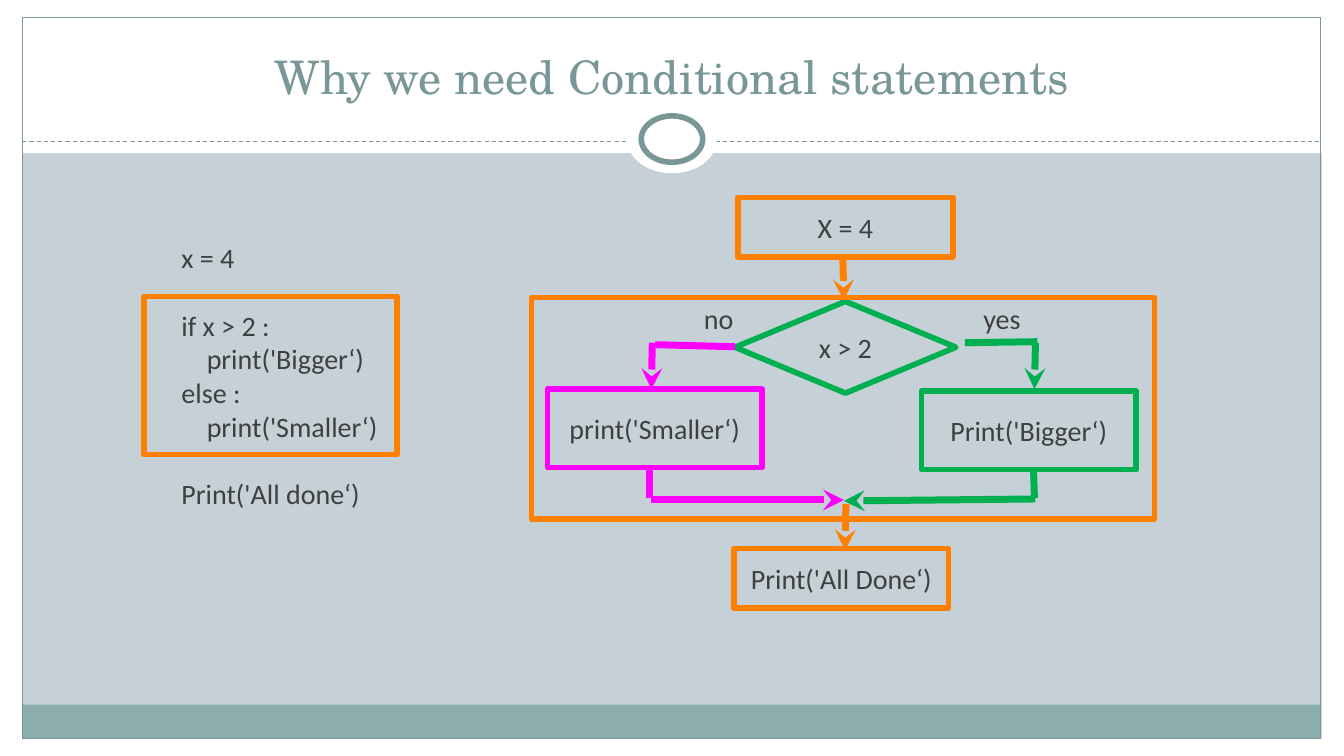
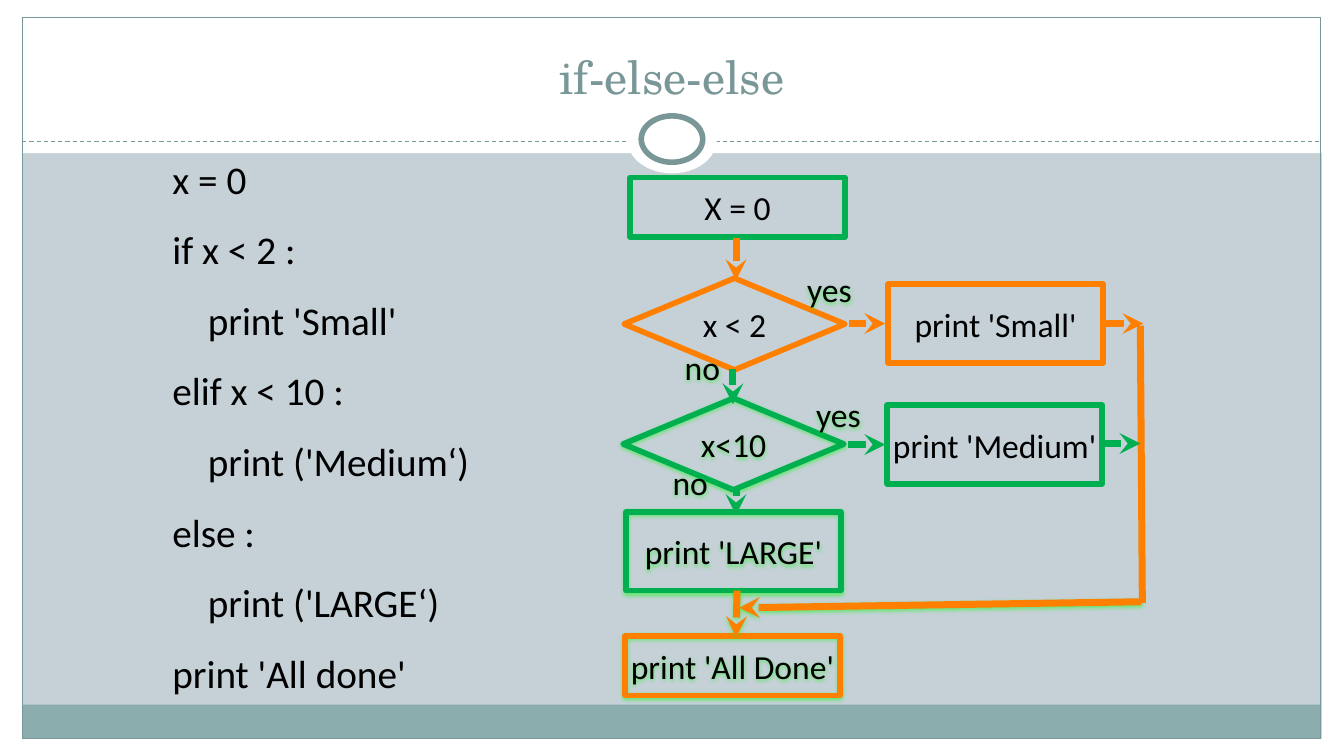
from dataclasses import dataclass
from typing import Optional

from lxml import etree
from pptx import Presentation
from pptx.dml.color import RGBColor
from pptx.enum.dml import MSO_LINE
from pptx.enum.shapes import MSO_CONNECTOR, MSO_SHAPE
from pptx.enum.text import MSO_ANCHOR, PP_ALIGN
from pptx.oxml.ns import qn
from pptx.util import Inches, Pt

RECT = MSO_SHAPE.RECTANGLE
OVAL = MSO_SHAPE.OVAL
DIAMOND = MSO_SHAPE.DIAMOND
STRAIGHT = MSO_CONNECTOR.STRAIGHT
DASH = MSO_LINE.DASH
LEFT, CENTER = PP_ALIGN.LEFT, PP_ALIGN.CENTER
MIDDLE, BOTTOM = MSO_ANCHOR.MIDDLE, MSO_ANCHOR.BOTTOM

WHITE = RGBColor(0xFF, 0xFF, 0xFF)
BLACK = RGBColor(0x00, 0x00, 0x00)
GRAY = RGBColor(0x3F, 0x3F, 0x3F)
BACKGROUND = RGBColor(0xC5, 0xD1, 0xD7)
BAND = RGBColor(0x8C, 0xAD, 0xAE)
TEAL = RGBColor(0x7A, 0x97, 0x98)
GREEN = RGBColor(0x00, 0xB0, 0x50)
ORANGE = RGBColor(0xFF, 0x7F, 0x00)
MAGENTA = RGBColor(0xFF, 0x00, 0xFF)
GLOW = RGBColor(0x00, 0xFF, 0x00)

BODY_FONT = "Calibri"
TITLE_FONT = "TeX Gyre Schola"
SPACE_EM = 0.226
LINE_EM = 1.22


@dataclass(frozen=True)
class Kind:
    shape: int
    w: float
    h: float


TERMINAL = Kind(RECT, 2.13, 0.59)
ACTION = Kind(RECT, 2.13, 0.78)
DECISION = Kind(DIAMOND, 2.19, 0.91)


@dataclass(frozen=True)
class Node:
    kind: Kind
    text: str
    x: float
    y: float
    color: RGBColor
    glow: bool = False


@dataclass(frozen=True)
class Link:
    x1: float
    y1: float
    x2: float
    y2: float
    color: RGBColor
    arrow: bool = True
    glow: bool = False


@dataclass(frozen=True)
class Label:
    text: str
    x: float
    y: float


@dataclass(frozen=True)
class Frame:
    x: float
    y: float
    w: float
    h: float


@dataclass(frozen=True)
class CodeLine:
    text: str
    indent: bool = False
    gap: bool = False


def set_shadow(shape, glow: bool = False) -> None:
    effects = etree.SubElement(shape._element.spPr, qn("a:effectLst"))
    if glow:
        shadow = etree.SubElement(effects, qn("a:outerShdw"), blurRad=str(Pt(3)),
                                  dist=str(Pt(1)), dir="5400000", rotWithShape="0")
        color = etree.SubElement(shadow, qn("a:srgbClr"), val=str(GLOW))
        etree.SubElement(color, qn("a:alpha"), val="50000")


def write(p, text: str, *, size: float, color: RGBColor, font: str = BODY_FONT,
          align=CENTER, spacing: Optional[float] = None) -> None:
    p.alignment = align
    if spacing:
        p.line_spacing = spacing
    r = p.add_run()
    r.text = text
    r.font.name = font
    r.font.size = Pt(size)
    r.font.color.rgb = color


def set_frame(tf, *, anchor=MIDDLE, wrap: bool = False):
    tf.margin_left = tf.margin_right = tf.margin_top = tf.margin_bottom = 0
    tf.vertical_anchor = anchor
    tf.word_wrap = wrap
    return tf


def add_box(s, shape: int, x: float, y: float, w: float, h: float, *,
            fill: Optional[RGBColor] = None, line: Optional[RGBColor] = None,
            width: float = 4, glow: bool = False):
    sp = s.shapes.add_shape(shape, Inches(x), Inches(y), Inches(w), Inches(h))
    if fill is None:
        sp.fill.background()
    else:
        sp.fill.solid()
        sp.fill.fore_color.rgb = fill
    if line is None:
        sp.line.fill.background()
    else:
        sp.line.color.rgb = line
        sp.line.width = Pt(width)
    set_shadow(sp, glow)
    return sp


def add_line(s, x1: float, y1: float, x2: float, y2: float, color: RGBColor,
             width: float, *, glow: bool = False):
    c = s.shapes.add_connector(STRAIGHT, Inches(x1), Inches(y1), Inches(x2), Inches(y2))
    c.line.color.rgb = color
    c.line.width = Pt(width)
    set_shadow(c, glow)
    return c


def add_text(s, x: float, y: float, w: float, h: float):
    return s.shapes.add_textbox(Inches(x), Inches(y), Inches(w), Inches(h))


def add_node(s, node: Node, size: float, color: RGBColor) -> None:
    sp = add_box(s, node.kind.shape, node.x, node.y, node.kind.w, node.kind.h,
                 line=node.color, glow=node.glow)
    write(set_frame(sp.text_frame).paragraphs[0], node.text, size=size, color=color)


def add_link(s, link: Link) -> None:
    c = add_line(s, link.x1, link.y1, link.x2, link.y2, link.color, 5, glow=link.glow)
    if link.arrow:
        etree.SubElement(c.line._get_or_add_ln(), qn("a:tailEnd"), type="stealth")


def add_label(s, label: Label, size: float, color: RGBColor, glow: bool) -> None:
    sp = add_text(s, label.x, label.y, size / 53, size / 60)
    if glow:
        set_shadow(sp, glow)
    write(set_frame(sp.text_frame).paragraphs[0], label.text, size=size, color=color)


def add_code(s, lines: list[CodeLine], area: Frame, *, size: float, color: RGBColor,
             spacing: Optional[float] = None) -> None:
    sp = add_text(s, area.x, area.y, area.w, area.h)
    tf = set_frame(sp.text_frame, wrap=True)
    for i, line in enumerate(lines):
        p = tf.paragraphs[0] if i == 0 else tf.add_paragraph()
        write(p, line.text, size=size, color=color, align=LEFT, spacing=spacing)
        if line.indent:
            p._p.get_or_add_pPr().set("marL", str(Pt(4 * SPACE_EM * size)))
        if line.gap:
            p.space_before = Pt(LINE_EM * size)


def add_slide(prs, title: str):
    s = prs.slides.add_slide(prs.slide_layouts[6])
    s.background.fill.solid()
    s.background.fill.fore_color.rgb = BACKGROUND
    for edge in ((0, 7.33, 13.33, 0.17), (0, 0, 13.33, 1.52),
                 (0, 0, 0.22, 7.5), (13.11, 0, 0.22, 7.5)):
        add_box(s, RECT, *edge, fill=WHITE)
    add_box(s, RECT, 0.22, 6.99, 12.88, 0.34, fill=BAND)
    add_box(s, RECT, 0.22, 0.17, 12.88, 7.16, line=TEAL, width=0.75)
    add_line(s, 0.22, 1.4, 13.1, 1.4, TEAL, 0.75).line.dash_style = DASH
    add_box(s, OVAL, 6.22, 1.05, 0.89, 0.67, fill=WHITE)
    add_box(s, OVAL, 6.36, 1.15, 0.61, 0.46, fill=WHITE, line=TEAL)
    sp = add_text(s, 2, 0.25, 9.33, 0.78)
    tf = set_frame(sp.text_frame, anchor=BOTTOM, wrap=True)
    write(tf.paragraphs[0], title, size=33, color=TEAL, font=TITLE_FONT)
    return s


def add_flow(s, nodes: list[Node], links: list[Link], labels: list[Label], *,
             size: float, color: RGBColor, glow: bool = False) -> None:
    for node in nodes:
        add_node(s, node, size, color)
    for link in links:
        add_link(s, link)
    for label in labels:
        add_label(s, label, size, color, glow)


def build_conditional(prs) -> None:
    s = add_slide(prs, "Why we need Conditional statements")
    code = [
        CodeLine("x = 4"),
        CodeLine("if x > 2 :", gap=True),
        CodeLine("print('Bigger‘)", indent=True),
        CodeLine("else :"),
        CodeLine("print('Smaller‘)", indent=True),
        CodeLine("Print('All done‘)", gap=True),
    ]
    add_code(s, code, Frame(1.8, 2.38, 2.1, 2.69), size=20, color=GRAY)
    nodes = [
        Node(TERMINAL, "X = 4", 7.32, 1.96, ORANGE),
        Node(DECISION, "x > 2", 7.29, 2.99, GREEN),
        Node(ACTION, "Print('Bigger‘)", 9.14, 3.88, GREEN),
        Node(ACTION, "print('Smaller‘)", 5.43, 3.86, MAGENTA),
        Node(TERMINAL, "Print('All Done‘)", 7.28, 5.44, ORANGE),
    ]
    links = [
        Link(9.57, 3.4, 10.29, 3.39, GREEN, arrow=False),
        Link(10.27, 3.4, 10.26, 3.86, GREEN),
        Link(10.27, 4.95, 8.37, 4.97, GREEN),
        Link(10.25, 4.65, 10.26, 4.94, GREEN, arrow=False),
        Link(8.36, 2.56, 8.37, 2.98, ORANGE),
        Link(7.29, 3.44, 6.5, 3.42, MAGENTA, arrow=False),
        Link(6.47, 3.4, 6.46, 3.86, MAGENTA),
        Link(6.46, 4.96, 8.37, 4.96, MAGENTA),
        Link(6.44, 4.66, 6.44, 4.94, MAGENTA, arrow=False),
        Link(8.39, 5, 8.38, 5.46, ORANGE),
    ]
    labels = [Label("yes", 9.75, 2.99), Label("no", 6.94, 2.99)]
    add_flow(s, nodes, links, labels, size=20, color=GRAY)
    for f in (Frame(5.27, 2.95, 6.18, 2.2), Frame(1.43, 2.94, 2.51, 1.57)):
        add_box(s, RECT, f.x, f.y, f.w, f.h, line=ORANGE)


def build_elif(prs) -> None:
    s = add_slide(prs, "if-else-else")
    code = [
        CodeLine("x = 0"),
        CodeLine("if x < 2 :"),
        CodeLine("print 'Small'", indent=True),
        CodeLine("elif x < 10 :"),
        CodeLine("print ('Medium‘)", indent=True),
        CodeLine("else :"),
        CodeLine("print ('LARGE‘)", indent=True),
        CodeLine("print 'All done'"),
    ]
    add_code(s, code, Frame(1.71, 1.28, 3.54, 5.65), size=28, color=BLACK, spacing=1.5)
    nodes = [
        Node(TERMINAL, "X = 0", 6.25, 1.76, GREEN),
        Node(DECISION, "x < 2", 6.19, 2.76, ORANGE),
        Node(ACTION, "print 'Small'", 8.81, 2.82, ORANGE),
        Node(DECISION, "x<10", 6.18, 3.95, GREEN, glow=True),
        Node(ACTION, "print 'Medium'", 8.8, 4.02, GREEN),
        Node(ACTION, "print 'LARGE'", 6.21, 5.08, GREEN, glow=True),
        Node(TERMINAL, "print 'All Done'", 6.2, 6.31, ORANGE, glow=True),
    ]
    links = [
        Link(8.42, 3.21, 8.78, 3.21, ORANGE),
        Link(11.32, 5.97, 7.33, 6.03, ORANGE, glow=True),
        Link(11.31, 3.23, 11.33, 5.98, ORANGE, arrow=False),
        Link(7.3, 2.36, 7.3, 2.78, ORANGE),
        Link(7.31, 5.86, 7.3, 6.32, ORANGE, glow=True),
        Link(8.41, 4.41, 8.78, 4.41, GREEN),
        Link(10.97, 3.21, 11.34, 3.21, ORANGE),
        Link(10.95, 4.4, 11.31, 4.4, GREEN),
        Link(7.27, 3.66, 7.27, 4.01, GREEN),
        Link(7.3, 4.86, 7.3, 5.11, GREEN),
    ]
    labels = [Label("yes", 8, 2.67), Label("no", 6.74, 3.44),
              Label("yes", 8.09, 3.91), Label("no", 6.62, 4.58)]
    add_flow(s, nodes, links, labels, size=24, color=BLACK, glow=True)


def main() -> None:
    prs = Presentation()
    prs.slide_width = Inches(13.33)
    prs.slide_height = Inches(7.5)
    build_conditional(prs)
    build_elif(prs)
    prs.save("out.pptx")


if __name__ == "__main__":
    main()
